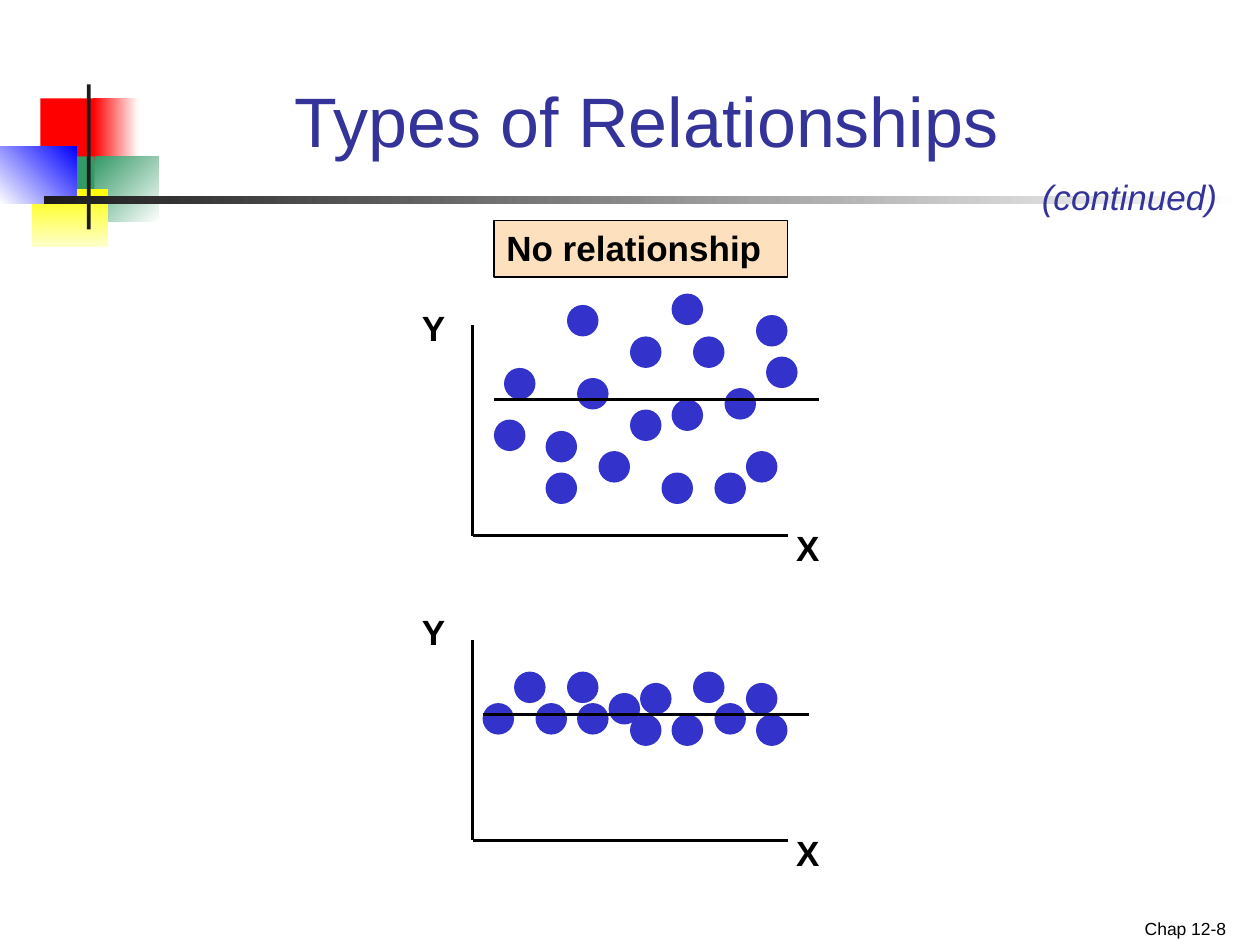
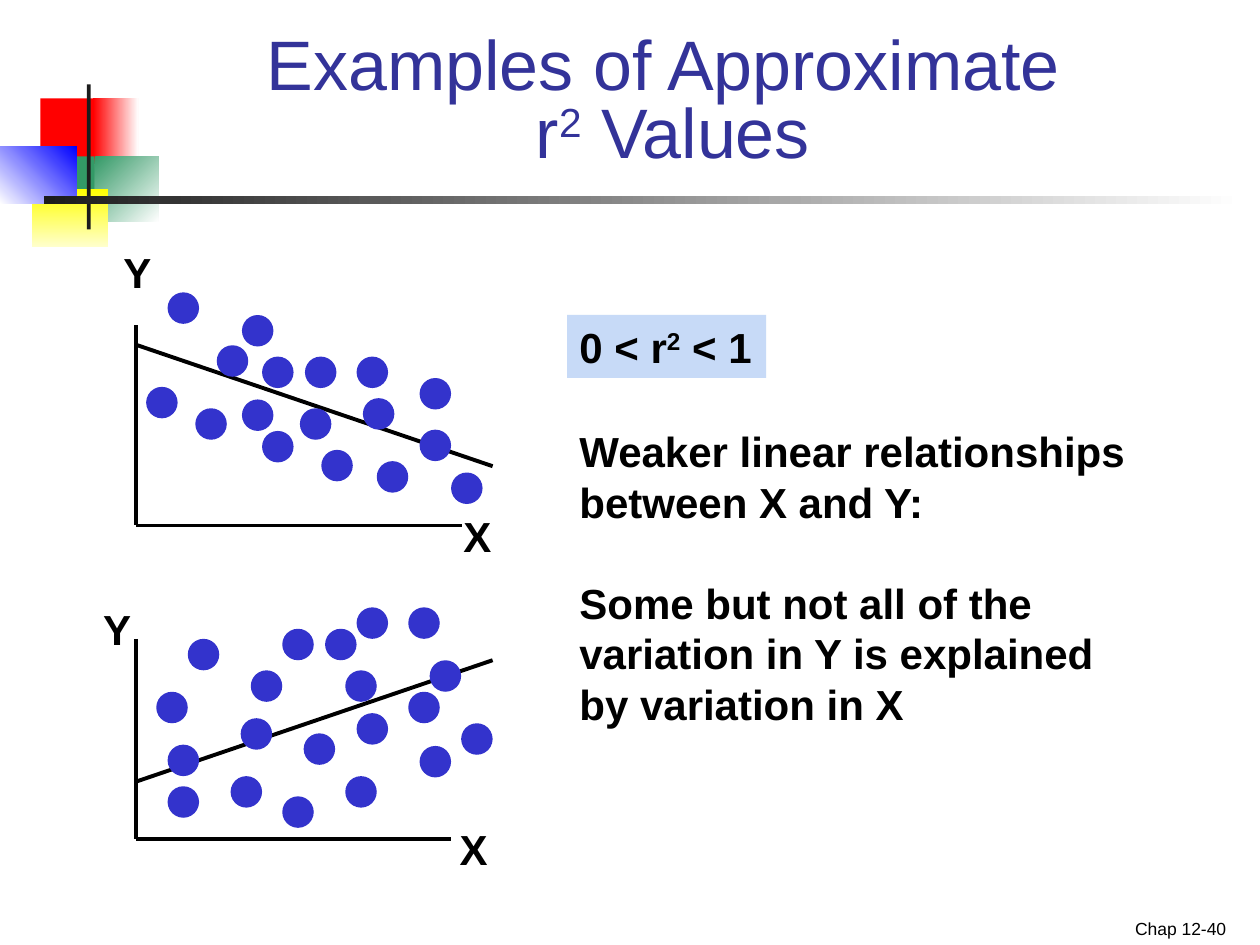
from dataclasses import dataclass

from lxml.etree import SubElement
from pptx import Presentation
from pptx.dml.color import RGBColor
from pptx.enum.shapes import MSO_CONNECTOR as Link, MSO_SHAPE as Preset
from pptx.enum.text import MSO_ANCHOR as Anchor, MSO_AUTO_SIZE as Fit, PP_ALIGN as Align
from pptx.oxml.ns import qn
from pptx.shapes.autoshape import Shape
from pptx.slide import Slide
from pptx.util import Emu, Pt

PX = 9144
DOT = 25
FONT = "Arial"
BLACK, INDIGO, DOT_BLUE = "000000", "333399", "3333CC"
PEACH, PALE_BLUE = "FDE0BD", "C7DAF7"
CHARCOAL, WHITE, RED, GREEN = "1C1C1C", "FFFFFF", "FF0000", "339966"

Point = tuple[int, int]
Area = tuple[int, int, int, int]


@dataclass(frozen=True)
class Block:
    """A rectangle of the emblem; two colours make a gradient."""
    area: Area
    colors: tuple[str, ...]
    angle: int = 0


@dataclass(frozen=True)
class TextStyle:
    """The look of a text box."""
    size: int = 24
    color: str = BLACK
    bold: bool = True
    italic: bool = False
    align: Align = Align.LEFT
    anchor: Anchor = Anchor.TOP
    wrap: bool = False
    grow: bool = True
    line_spacing: float | None = None
    gap: int = 0


@dataclass(frozen=True)
class Scatter:
    """A sketch of dots between two axes with a trend line."""
    origin: Point
    axis_top: int
    axis_right: int
    y_label: Point
    x_label: Point
    trend: tuple[Point, Point]
    dots: tuple[Point, ...]
    label_size: int
    trend_width: float
    trend_on_top: bool = False


EMBLEM = (
    Block((32, 78, 48, 52), (RED,)),
    Block((74, 78, 36, 52), (RED, WHITE)),
    Block((75, 124, 51, 52), (GREEN, WHITE), 45),
    Block((43, 124, 32, 52), (GREEN,)),
    Block((25, 150, 61, 46), ("FFFF00", "FFFFCC"), 90),
    Block((0, 116, 61, 46), (WHITE, "0000FF"), 315),
    Block((69, 67, 3, 115), (CHARCOAL,)),
    Block((35, 156, 951, 6), (CHARCOAL, WHITE)),
)
TITLE = TextStyle(40, INDIGO, bold=False, align=Align.CENTER, anchor=Anchor.BOTTOM,
                  wrap=True, grow=False)
TIGHT_TITLE = TextStyle(40, INDIGO, bold=False, align=Align.CENTER, anchor=Anchor.BOTTOM,
                        wrap=True, grow=False, line_spacing=0.8)
FOOTER = TextStyle(10, bold=False, align=Align.RIGHT, anchor=Anchor.BOTTOM,
                   wrap=True, grow=False)
CONTINUED = TextStyle(20, INDIGO, bold=False, italic=True)
LABEL_SIZES = {20: (39, 43), 24: (42, 50)}

SPREAD_CLOUD = Scatter(
    (375, 425), 258, 625, (325, 238), (622, 413), ((392, 317), (650, 317)),
    ((533, 233), (392, 333), (592, 358), (608, 283), (433, 375), (450, 242),
     (533, 317), (550, 267), (600, 250), (500, 267), (433, 342), (458, 300),
     (567, 375), (500, 325), (475, 358), (400, 292), (525, 375), (575, 308)),
    20, 1.5, True)
FLAT_BAND = Scatter(
    (375, 667), 508, 625, (325, 480), (622, 655), ((383, 567), (642, 567)),
    ((600, 567), (425, 558), (592, 542), (450, 533), (550, 533), (567, 558),
     (483, 550), (383, 558), (408, 533), (458, 558), (533, 567), (508, 542),
     (500, 567)),
    20, 1.5, True)
FALLING = Scatter(
    (108, 417), 258, 367, (88, 191), (358, 400), ((109, 274), (391, 370)),
    ((358, 375), (333, 341), (133, 232), (172, 274), (299, 366), (116, 307),
     (255, 357), (192, 250), (283, 283), (333, 300), (155, 324), (242, 283),
     (192, 317), (238, 324), (288, 316), (208, 283), (208, 342)),
    24, 2.25)
RISING = Scatter(
    (108, 666), 507, 358, (72, 474), (355, 649), ((109, 620), (391, 524)),
    ((133, 624), (133, 591), (324, 482), (341, 524), (183, 616), (324, 549),
     (274, 616), (283, 482), (224, 499), (124, 549), (149, 507), (191, 570),
     (283, 566), (241, 582), (224, 632), (366, 574), (274, 532), (258, 499),
     (199, 532), (333, 592)),
    24, 2.25)


def px(*lengths: int) -> list[Emu]:
    """Turn px lengths into EMU."""
    return [Emu(length * PX) for length in lengths]


def rgb(color: str) -> RGBColor:
    """Turn a hex string into a colour."""
    return RGBColor.from_string(color)


def add_preset(page: Slide, preset: Preset, area: Area, colors: tuple[str, ...],
               angle: int = 0) -> Shape:
    """Draw a borderless shape with a solid or two-colour fill."""
    shape = page.shapes.add_shape(preset, *px(*area))
    shape.shadow.inherit = False
    shape.line.fill.background()
    if len(colors) == 1:
        shape.fill.solid()
        shape.fill.fore_color.rgb = rgb(colors[0])
    else:
        shape.fill.gradient()
        shape.fill.gradient_angle = -angle % 360
        for stop, color in zip(shape.fill.gradient_stops, colors):
            stop.color.rgb = rgb(color)
    return shape


def add_line(page: Slide, start: Point, end: Point, width: float) -> None:
    """Draw a straight black line."""
    line = page.shapes.add_connector(Link.STRAIGHT, *px(*start, *end))
    line.line.color.rgb = rgb(BLACK)
    line.line.width = Pt(width)
    SubElement(line._element.spPr, qn("a:effectLst"))


def add_text(page: Slide, area: Area, paragraphs: list[str], style: TextStyle,
             fill: str = "", border: str = "") -> None:
    """Write paragraphs in a box; text between carets is raised."""
    box = page.shapes.add_textbox(*px(*area))
    if fill:
        box.fill.solid()
        box.fill.fore_color.rgb = rgb(fill)
    if border:
        box.line.color.rgb = rgb(border)
        box.line.width = Pt(1)
    frame = box.text_frame
    frame.word_wrap = style.wrap
    frame.auto_size = Fit.SHAPE_TO_FIT_TEXT if style.grow else Fit.NONE
    frame.vertical_anchor = style.anchor
    for index, text in enumerate(paragraphs):
        para = frame.add_paragraph() if index else frame.paragraphs[0]
        first, *others = text.split("^")
        para.text = first
        para.alignment = style.align
        if style.line_spacing:
            para.line_spacing = style.line_spacing
        if index:
            para.space_before = Pt(style.gap)
        for position, part in enumerate(others):
            span = para.add_run()
            span.text = part
            if position % 2 == 0:
                span._r.get_or_add_rPr().set("baseline", "30000")
        for span in para.runs:
            font = span.font
            font.name, font.size = FONT, Pt(style.size)
            font.bold, font.italic = style.bold, style.italic
            font.color.rgb = rgb(style.color)


def add_scatter(page: Slide, plot: Scatter) -> None:
    """Draw the axes, their labels, the dots and the trend line."""
    x, y = plot.origin
    add_line(page, (x, plot.axis_top), plot.origin, 2)
    add_line(page, plot.origin, (plot.axis_right, y), 2)
    style = TextStyle(plot.label_size)
    for name, corner in (("Y", plot.y_label), ("X", plot.x_label)):
        add_text(page, (*corner, *LABEL_SIZES[plot.label_size]), [name], style)
    if not plot.trend_on_top:
        add_line(page, *plot.trend, plot.trend_width)
    for corner in plot.dots:
        add_preset(page, Preset.OVAL, (*corner, DOT, DOT), (DOT_BLUE,))
    if plot.trend_on_top:
        add_line(page, *plot.trend, plot.trend_width)


def add_page(deck: Presentation, title: str, title_area: Area, title_style: TextStyle,
             footer: str, plots: tuple[Scatter, ...]) -> Slide:
    """Add a slide with the emblem, title, footer and scatter sketches."""
    page = deck.slides.add_slide(deck.slide_layouts[6])
    for block in EMBLEM:
        add_preset(page, Preset.RECTANGLE, block.area, block.colors, block.angle)
    add_text(page, (750, 715, 233, 35), [footer], FOOTER)
    add_text(page, title_area, [title], title_style)
    for plot in plots:
        add_scatter(page, plot)
    return page


def main() -> None:
    """Build both slides and save the deck."""
    deck = Presentation()
    deck.slide_width, deck.slide_height = px(1000, 750)

    page = add_page(deck, "Types of Relationships", (126, 25, 774, 108), TITLE,
                    "Chap 12-8", (FLAT_BAND, SPREAD_CLOUD))
    add_text(page, (392, 175, 233, 45), ["No relationship"], TextStyle(20, wrap=True),
             PEACH, BLACK)
    add_text(page, (817, 134, 159, 43), ["(continued)"], CONTINUED)

    page = add_page(deck, "Examples of Approximate \vr^2^ Values", (108, 33, 852, 108),
                    TIGHT_TITLE, "Chap 12-40", (FALLING, RISING))
    add_text(page, (450, 250, 158, 50), ["0 < r^2^ < 1"], TextStyle(), PALE_BLUE)
    add_text(page, (450, 333, 458, 250),
             ["Weaker linear relationships between X and Y:",
              "Some but not all of the variation in Y is explained by variation in X"],
             TextStyle(wrap=True, gap=29))

    deck.save("out.pptx")


if __name__ == "__main__":
    main()
